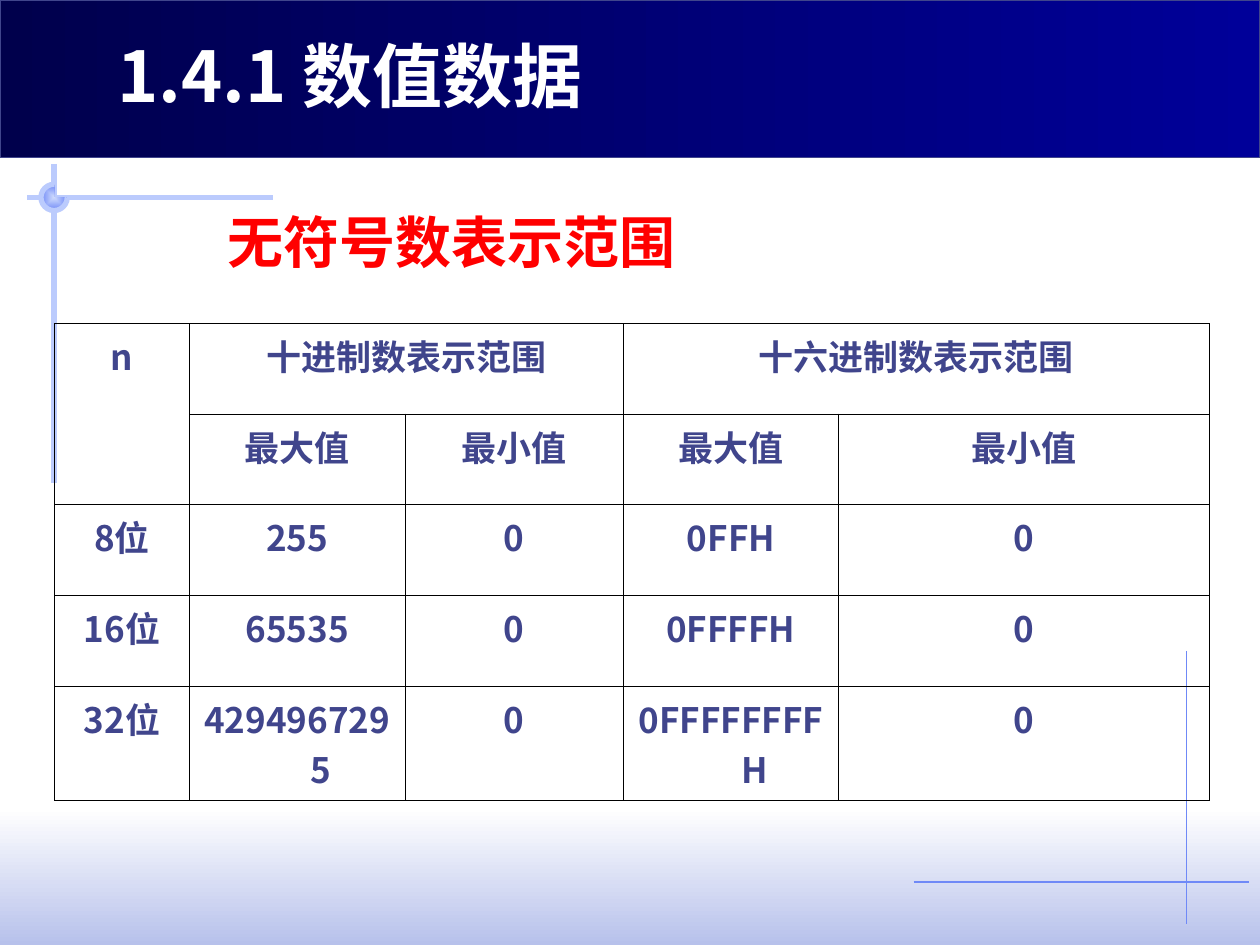
from dataclasses import dataclass

from lxml import etree
from pptx import Presentation
from pptx import util as u
from pptx.dml.color import RGBColor
from pptx.enum import shapes, text
from pptx.oxml import ns


@dataclass(frozen=True)
class Theme:
    """Colours, fonts and type sizes of the slide."""
    white: str = "FFFFFF"
    black: str = "000000"
    ink: str = "40458C"
    red: str = "FF0000"
    navy: str = "000099"
    midnight: str = "00004C"
    mist: str = "B7C1EB"
    pale: str = "CFDBFD"
    sky: str = "BBCBFD"
    blue: str = "6F89F7"
    title_font: str = "Noto Sans CJK JP"
    body_font: str = "Noto Sans CJK SC"
    title_size: int = 40
    heading_size: int = 32
    cell_size: int = 20
    thin: float = 0.74
    thick: float = 3
    border: float = 0.45


THEME = Theme()
COLUMNS, ROWS = 120, 90


def sub(parent, tag, **attributes):
    """Add a drawing element to a parent."""
    return etree.SubElement(parent, ns.qn(f"a:{tag}"), attributes)


def write(frame, wording, size, color, font=THEME.body_font, align=text.PP_ALIGN.LEFT,
          hanging=0.0, spacing=1.0, before=0, anchor=text.MSO_ANCHOR.TOP, wrap=True):
    """Put one formatted bold paragraph in a text frame."""
    frame.word_wrap = wrap
    frame.vertical_anchor = anchor
    paragraph = frame.paragraphs[0]
    paragraph.alignment = align
    paragraph.line_spacing = spacing
    paragraph.space_before = u.Pt(before)
    run = paragraph.add_run()
    run.text = wording
    run.font.size, run.font.bold, run.font.name = u.Pt(size), True, font
    run.font.color.rgb = RGBColor.from_string(color)
    sub(run.font._element, "ea", typeface=font)
    properties = paragraph._p.get_or_add_pPr()
    properties.set("marL", str(u.Inches(hanging)))
    properties.set("indent", str(-u.Inches(hanging)))
    sub(properties, "buNone")


class Sheet:
    """A slide with its theme and its grid."""

    def __init__(self, deck, theme):
        """Add a slide with a title and a body."""
        self.theme = theme
        self.column, self.row = deck.slide_width / COLUMNS, deck.slide_height / ROWS
        self.slide = deck.slides.add_slide(deck.slide_layouts[1])

    def place(self, left, top, width, height):
        """Turn columns and rows into lengths."""
        return (round(left * self.column), round(top * self.row),
                round(width * self.column), round(height * self.row))

    def shape(self, kind, area, gradient=None, angle=None, line=None, weight=THEME.thin):
        """Add a preset shape, with a centred gradient if no angle is given."""
        item = self.slide.shapes.add_shape(kind, *self.place(*area))
        item.shadow.inherit = False
        if gradient:
            item.fill.gradient()
            for stop, color in zip(item.fill.gradient_stops, gradient):
                stop.color.rgb = RGBColor.from_string(color)
            if angle is not None:
                item.fill.gradient_angle = angle
            else:
                linear = item.element.find(".//" + ns.qn("a:lin"))
                centred = sub(linear.getparent(), "path", path="rect")
                sub(centred, "fillToRect", l="50000", t="50000", r="50000", b="50000")
                linear.getparent().remove(linear)
        else:
            item.fill.background()
        if line:
            item.line.color.rgb = RGBColor.from_string(line)
            item.line.width = u.Pt(weight)
        else:
            item.line.fill.background()
        return item

    def line(self, start, end, color, weight):
        """Add a straight line between two grid points."""
        ends = self.place(*start, *end)
        item = self.slide.shapes.add_connector(shapes.MSO_CONNECTOR.STRAIGHT, *ends)
        item.line.color.rgb = RGBColor.from_string(color)
        item.line.width = u.Pt(weight)
        sub(item.element.spPr, "effectLst")

    def placeholder(self, index, area, wording, **style):
        """Move a placeholder to the front and fill it."""
        item = self.slide.placeholders[index]
        item.left, item.top, item.width, item.height = self.place(*area)
        item.element.getparent().append(item.element)
        item.text_frame.auto_size = text.MSO_AUTO_SIZE.NONE
        write(item.text_frame, wording, **style)

    def border(self, cell):
        """Draw the four sides of a cell."""
        properties = cell._tc.get_or_add_tcPr()
        for place, side in enumerate(("lnL", "lnR", "lnT", "lnB")):
            edge = sub(properties, side, w=str(u.Pt(self.theme.border)))
            sub(sub(edge, "solidFill"), "srgbClr", val=self.theme.black)
            properties.insert(place, edge)

    def table(self, left, top, widths, heights, rows, merges):
        """Add a ruled table with merged header cells."""
        area = self.place(left, top, sum(widths), sum(heights))
        grid = self.slide.shapes.add_table(len(rows), len(widths), *area).table
        grid.first_row = grid.horz_banding = False
        for column, width in zip(grid.columns, widths):
            column.width = round(width * self.column)
        for row, height in zip(grid.rows, heights):
            row.height = round(height * self.row)
        for first, last in merges:
            grid.cell(*first).merge(grid.cell(*last))
        for r, row in enumerate(rows):
            for c, wording in enumerate(row):
                cell = grid.cell(r, c)
                cell.fill.background()
                self.border(cell)
                if wording:
                    write(cell.text_frame, wording, self.theme.cell_size, self.theme.ink,
                          align=text.PP_ALIGN.CENTER, hanging=0.38)


def main():
    """Build the slide and save it."""
    deck = Presentation()
    deck.slide_width, deck.slide_height = u.Inches(10), u.Inches(7.5)
    sheet = Sheet(deck, THEME)
    preset = shapes.MSO_SHAPE

    sheet.shape(preset.RECTANGLE, (0, 77, 120, 13), (THEME.white, THEME.mist), angle=270)
    sheet.line((113, 62), (113, 88), THEME.blue, THEME.thin)
    sheet.line((26, 18.8), (2.6, 18.8), THEME.sky, THEME.thick)
    sheet.line((5.15, 15.6), (5.15, 46), THEME.sky, THEME.thick)
    knob = (3.9, 17.55, 2.5, 2.5)
    sheet.shape(preset.PIE, knob, (THEME.pale, THEME.blue))
    rim = sheet.shape(preset.ARC, knob, line=THEME.sky, weight=THEME.thick)
    rim.adjustments[0], rim.adjustments[1] = 0, 162
    sheet.shape(preset.RECTANGLE, (0, 0, 120, 15), (THEME.navy, THEME.midnight),
                angle=180, line=THEME.ink)
    sheet.line((87, 84), (119, 84), THEME.blue, THEME.thin)

    limits = ["最大值", "最小值"]
    ranges = [("8位", "255", "0FFH"), ("16位", "65535", "0FFFFH"),
              ("32位", "4294967295", "0FFFFFFFFH")]
    rows = [["n", "十进制数表示范围", "", "十六进制数表示范围", ""], ["", *limits, *limits]]
    rows += [[bits, decimal, "0", hexadecimal, "0"] for bits, decimal, hexadecimal in ranges]
    sheet.table(5.2, 30.8, (12.85, 20.55, 20.75, 20.55, 35.3), [8.64] * 4 + [9.4], rows,
                [((0, 0), (1, 0)), ((0, 1), (0, 2)), ((0, 3), (0, 4))])

    sheet.placeholder(0, (10, 2.5, 95.4, 9.2), "1.4.1 数值数据", size=THEME.title_size,
                      color=THEME.white, font=THEME.title_font, anchor=text.MSO_ANCHOR.MIDDLE)
    sheet.placeholder(1, (20.5, 20.4, 54.1, 6.4), "无符号数表示范围", size=THEME.heading_size,
                      color=THEME.red, hanging=0.38, spacing=0.8, before=20, wrap=False)
    deck.save("out.pptx")


main()
